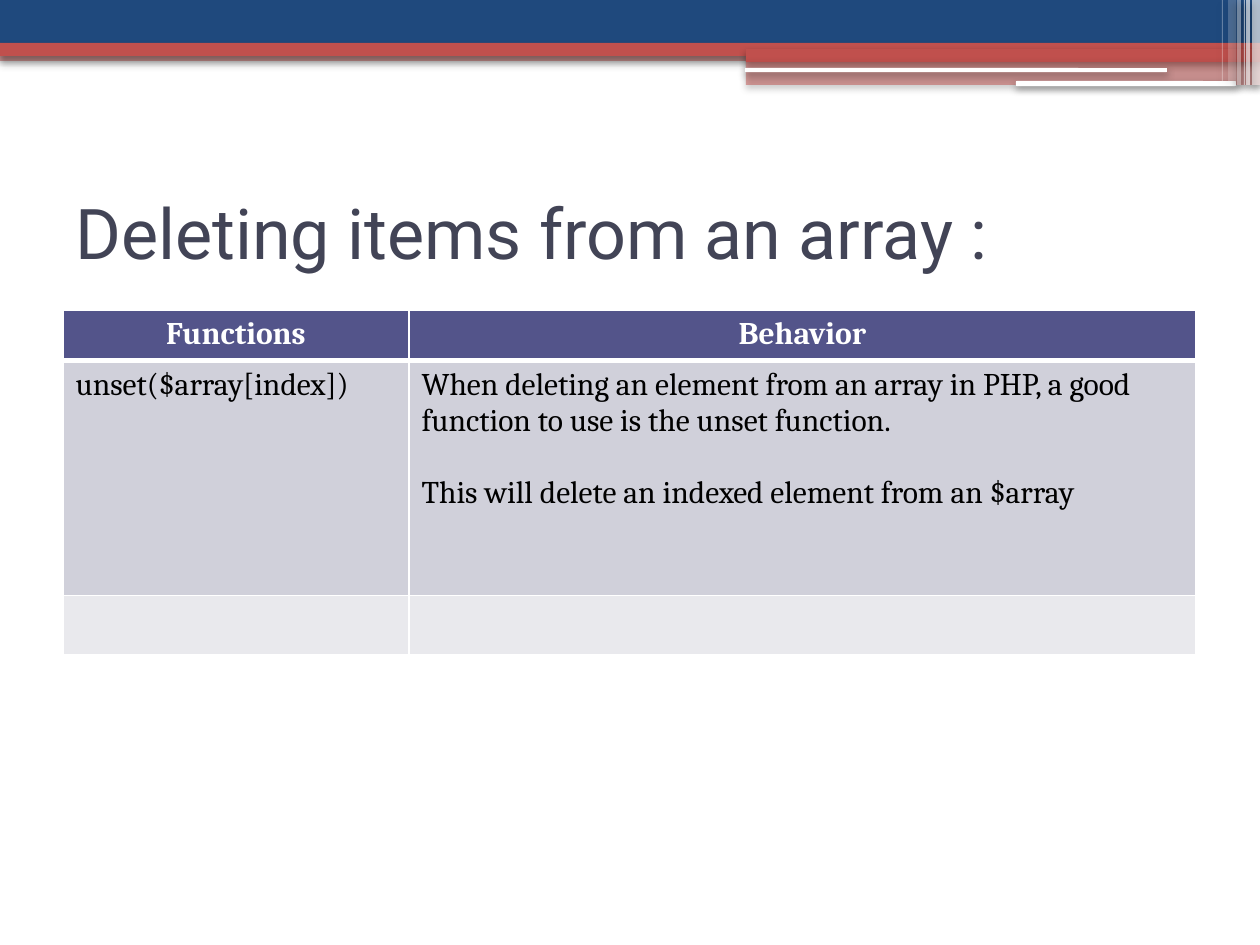
from lxml import etree
from pptx import Presentation
from pptx import util as u
from pptx.dml.color import RGBColor
from pptx.enum import shapes, text
from pptx.oxml import ns

THEME = {
    "navy": "1F497D", "red": "C0504D", "white": "FFFFFF", "black": "000000",
    "title": "424456", "head": "53548A", "band": "D0D0DA", "pale": "E9E9ED",
    "font": "Cambria", "title font": "Roboto", "size": 18, "title size": 40,
    "thin": 0.96, "thick": 3,
}
PX = u.Inches(1) / 126
WIDE, HIGH = 1260, 945

TITLE = "Deleting items from an array :"
ROWS = [
    [["Functions"], ["Behavior"]],
    [["unset($array[index])"],
     ["When deleting an element from an array in PHP, a good function "
      "to use is the unset function.",
      "This will delete an indexed element from an $array"]],
    [[], []],
]
COLS = [346, 787]
TALL = [50, 235, 59]
FILLS = ["head", "band", "pale"]

# left, top, width, height, colour, opacity in percent
BARS = [
    (0, 50, WIDE, 11, "red", 50),
    (0, 0, WIDE, 43, "navy", 100),
    (0, 43, WIDE, 13, "red", 100),
    (746, 49, 514, 13, "red", 100),
    (746, 60, 514, 25, "red", 50),
]
RULES = [
    (745, 68, 422, 4, "white", 100),
    (1016, 81, 220, 5, "white", 100),
]
# left, width, height, opacity in percent
STRIPES = [(1252, 8, 85, 66), (1246, 4, 85, 66), (1244, 1, 85, 60),
           (1237, 4, 85, 40), (1228, 8, 81, 20), (1222, 1, 81, 31)]


def px(n):
    return u.Emu(round(n * PX))


def rgb(name):
    return RGBColor.from_string(THEME[name])


def sub(node, tag, **attrs):
    return etree.SubElement(node, ns.qn(tag), {k: str(v) for k, v in attrs.items()})


def bar(slide, kind, x, y, w, h, color, alpha):
    """Add a borderless bar with a soft shadow below it."""
    shape = slide.shapes.add_shape(kind, px(x), px(y), px(w), px(h))
    shape.fill.solid()
    shape.fill.fore_color.rgb = rgb(color)
    shape.line.fill.background()
    shape.shadow.inherit = False
    props = shape.element.spPr
    if alpha < 100:
        sub(props.find(".//" + ns.qn("a:srgbClr")), "a:alpha", val=alpha * 1000)
    glow = sub(props.find(ns.qn("a:effectLst")), "a:outerShdw",
               blurRad=u.Pt(4.1), dist=u.Pt(2), dir=5400000, rotWithShape=0)
    sub(sub(glow, "a:srgbClr", val=THEME["black"]), "a:alpha", val=40000)


def write(frame, lines, size="size", font="font", color="black",
          bold=False, align=text.PP_ALIGN.LEFT, gap=0):
    """Fill a frame with paragraphs, gap points apart."""
    frame.word_wrap = True
    for i, line in enumerate(lines):
        para = frame.add_paragraph() if i else frame.paragraphs[0]
        para.alignment = align
        para.space_before = u.Pt(gap if i else 0)
        run = para.add_run()
        run.text = line
        run.font.size = u.Pt(THEME[size])
        run.font.name = THEME[font]
        run.font.bold = bold
        run.font.color.rgb = rgb(color)


def edge(cell, **widths):
    props = cell._tc.get_or_add_tcPr()
    for side in "LRTB":
        line = sub(props, "a:ln" + side, w=u.Pt(THEME[widths.get(side, "thin")]))
        sub(sub(line, "a:solidFill"), "a:srgbClr", val=THEME["white"])


def grid(slide):
    table = slide.shapes.add_table(len(ROWS), len(COLS), px(63), px(310),
                                   px(sum(COLS)), px(sum(TALL))).table
    for col, w in zip(table.columns, COLS):
        col.width = px(w)
    for r, cells in enumerate(ROWS):
        table.rows[r].height = px(TALL[r])
        style = {"gap": 20.6}
        if r == 0:
            style = {"bold": True, "color": "white", "align": text.PP_ALIGN.CENTER}
        thick = {0: {"B": "thick"}, 1: {"T": "thick"}}.get(r, {})
        for c, lines in enumerate(cells):
            cell = table.cell(r, c)
            edge(cell, **thick)
            cell.fill.solid()
            cell.fill.fore_color.rgb = rgb(FILLS[r])
            write(cell.text_frame, lines, **style)


def main():
    deck = Presentation()
    deck.slide_width, deck.slide_height = px(WIDE), px(HIGH)
    slide = deck.slides.add_slide(deck.slide_layouts[6])
    kinds = shapes.MSO_SHAPE
    for item in BARS:
        bar(slide, kinds.RECTANGLE, *item)
    for item in RULES:
        bar(slide, kinds.ROUNDED_RECTANGLE, *item)
    for x, w, h, alpha in STRIPES:
        bar(slide, kinds.RECTANGLE, x, 0, w, h, "white", alpha)
    frame = slide.shapes.add_textbox(px(63), px(158), px(1134), px(147)).text_frame
    frame.vertical_anchor = text.MSO_ANCHOR.MIDDLE
    write(frame, [TITLE], size="title size", font="title font", color="title")
    grid(slide)
    deck.save("out.pptx")


if __name__ == "__main__":
    main()
